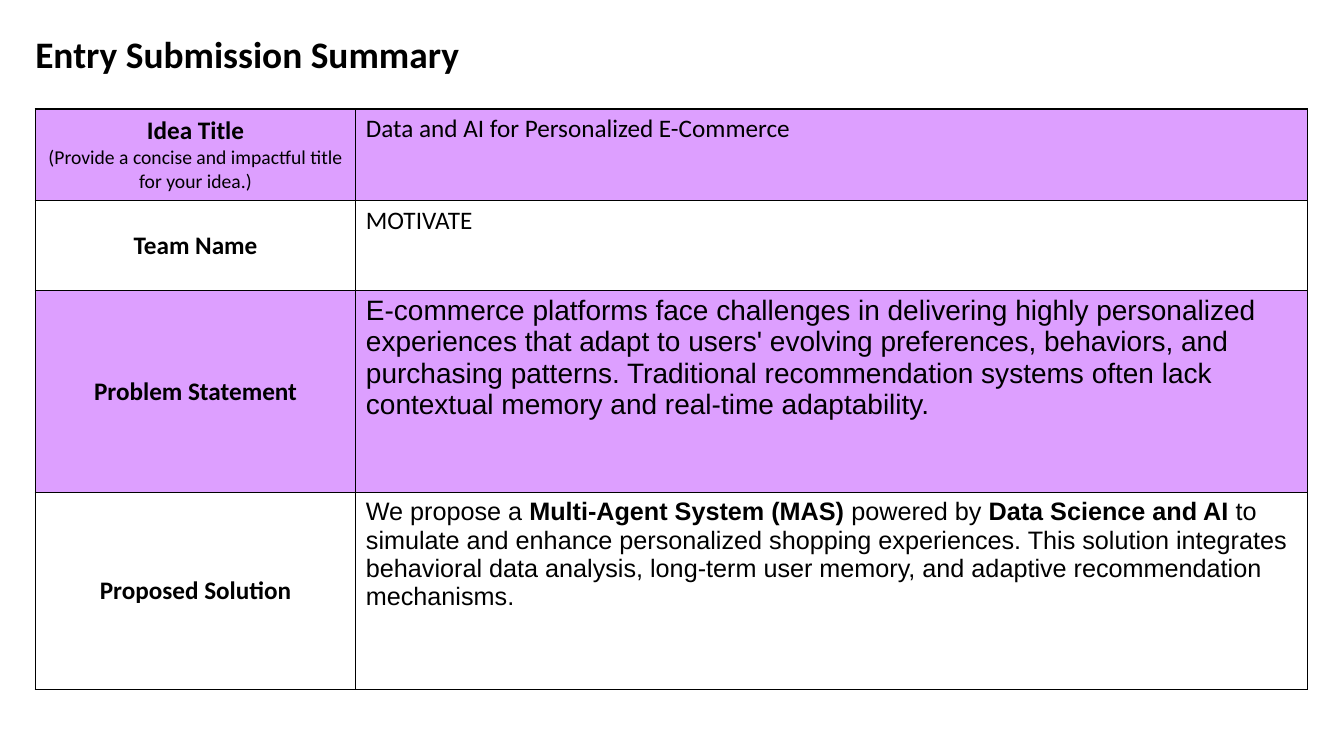
from dataclasses import dataclass

from pptx import Presentation
from pptx.dml.color import RGBColor
from pptx.enum.text import MSO_ANCHOR, MSO_AUTO_SIZE, PP_ALIGN
from pptx.oxml.ns import qn
from pptx.slide import Slide
from pptx.table import _Cell
from pptx.text.text import _Paragraph
from pptx.util import Pt
from lxml.etree import SubElement


@dataclass(frozen=True)
class Theme:
    ink: str = "000000"
    band: str = "DD9FFF"
    plain: str = "FFFFFF"
    heading_font: str = "Calibri"
    prose_font: str = "Arial"
    title_size: float = 26.7
    statement_size: float = 20
    text_size: float = 18
    hint_size: float = 14
    border: float = 1


THEME = Theme()


@dataclass(frozen=True)
class Span:
    text: str
    size: float = THEME.text_size
    font: str = THEME.heading_font
    bold: bool = False


@dataclass(frozen=True)
class Entry:
    height: float
    label: str
    answer: tuple[Span, ...]
    hint: str = ""


def prose(text: str, bold: bool = False, size: float = THEME.text_size) -> Span:
    return Span(text, size, THEME.prose_font, bold)


# Content
TITLE = "Entry Submission Summary"
ENTRIES = (
    Entry(65.5, "Idea Title", (Span("Data and AI for Personalized E-Commerce"),),
          "(Provide a concise and impactful title for your idea.)"),
    Entry(64.1, "Team Name", (Span("MOTIVATE"),)),
    Entry(144.7, "Problem Statement", (
        prose("E-commerce platforms face challenges in delivering highly personalized "
              "experiences that adapt to users' evolving preferences, behaviors, and "
              "purchasing patterns. Traditional recommendation systems often lack "
              "contextual memory and real-time adaptability.", size=THEME.statement_size),
    )),
    Entry(140.4, "Proposed Solution", (
        prose("We propose a "),
        prose("Multi-Agent System (MAS)", bold=True),
        prose(" powered by "),
        prose("Data Science and AI", bold=True),
        prose(" to simulate and enhance personalized shopping experiences. This solution "
              "integrates behavioral data analysis, long-term user memory, and adaptive "
              "recommendation mechanisms."),
    )),
)

# Layout in points
LEFT = 25.2
TITLE_TOP, TITLE_WIDTH, TITLE_HEIGHT = 28.1, 885, 67
TABLE_TOP = 77.8
COLUMN_WIDTHS = (229, 680)


def add_spans(paragraph: _Paragraph, *spans: Span) -> None:
    for span in spans:
        run = paragraph.add_run()
        run.text = span.text
        run.font.size = Pt(span.size)
        run.font.name = span.font
        run.font.bold = span.bold
        run.font.color.rgb = RGBColor.from_string(THEME.ink)


def style_cell(cell: _Cell, color: str) -> None:
    properties = cell._tc.get_or_add_tcPr()
    for side in ("lnL", "lnR", "lnT", "lnB"):
        edge = SubElement(properties, qn(f"a:{side}"), w=str(Pt(THEME.border)))
        edge_fill = SubElement(edge, qn("a:solidFill"))
        SubElement(edge_fill, qn("a:srgbClr"), val=THEME.ink)
    cell.fill.solid()
    cell.fill.fore_color.rgb = RGBColor.from_string(color)


def add_title(slide: Slide) -> None:
    title = slide.shapes.title
    title.left, title.top = Pt(LEFT), Pt(TITLE_TOP)
    title.width, title.height = Pt(TITLE_WIDTH), Pt(TITLE_HEIGHT)
    frame = title.text_frame
    frame.margin_left = frame.margin_top = frame.margin_bottom = Pt(0)
    frame.margin_right = Pt(9.4)
    frame.word_wrap = True
    frame.auto_size = MSO_AUTO_SIZE.NONE
    frame.vertical_anchor = MSO_ANCHOR.TOP
    heading = frame.paragraphs[0]
    heading.alignment = PP_ALIGN.LEFT
    heading.line_spacing = 0.8
    add_spans(heading, Span(TITLE, THEME.title_size, bold=True))


def add_summary(slide: Slide) -> None:
    summary = slide.shapes.add_table(
        len(ENTRIES), len(COLUMN_WIDTHS), Pt(LEFT), Pt(TABLE_TOP),
        Pt(sum(COLUMN_WIDTHS)), Pt(sum(entry.height for entry in ENTRIES))).table
    summary.first_row = summary.horz_banding = False
    for column, width in zip(summary.columns, COLUMN_WIDTHS):
        column.width = Pt(width)

    for index, entry in enumerate(ENTRIES):
        summary.rows[index].height = Pt(entry.height)
        label_cell, answer_cell = summary.rows[index].cells
        for cell in (label_cell, answer_cell):
            style_cell(cell, THEME.plain if index % 2 else THEME.band)

        label_cell.vertical_anchor = MSO_ANCHOR.MIDDLE
        label = label_cell.text_frame.paragraphs[0]
        label.alignment = PP_ALIGN.CENTER
        add_spans(label, Span(entry.label, bold=True))
        if entry.hint:
            hint = label_cell.text_frame.add_paragraph()
            hint.alignment = PP_ALIGN.CENTER
            add_spans(hint, Span(entry.hint, THEME.hint_size))
        add_spans(answer_cell.text_frame.paragraphs[0], *entry.answer)


def main() -> None:
    deck = Presentation()
    deck.slide_width, deck.slide_height = Pt(960), Pt(540)
    slide = deck.slides.add_slide(deck.slide_layouts.get_by_name("Title Only"))
    add_title(slide)
    add_summary(slide)
    deck.save("out.pptx")


if __name__ == "__main__":
    main()
